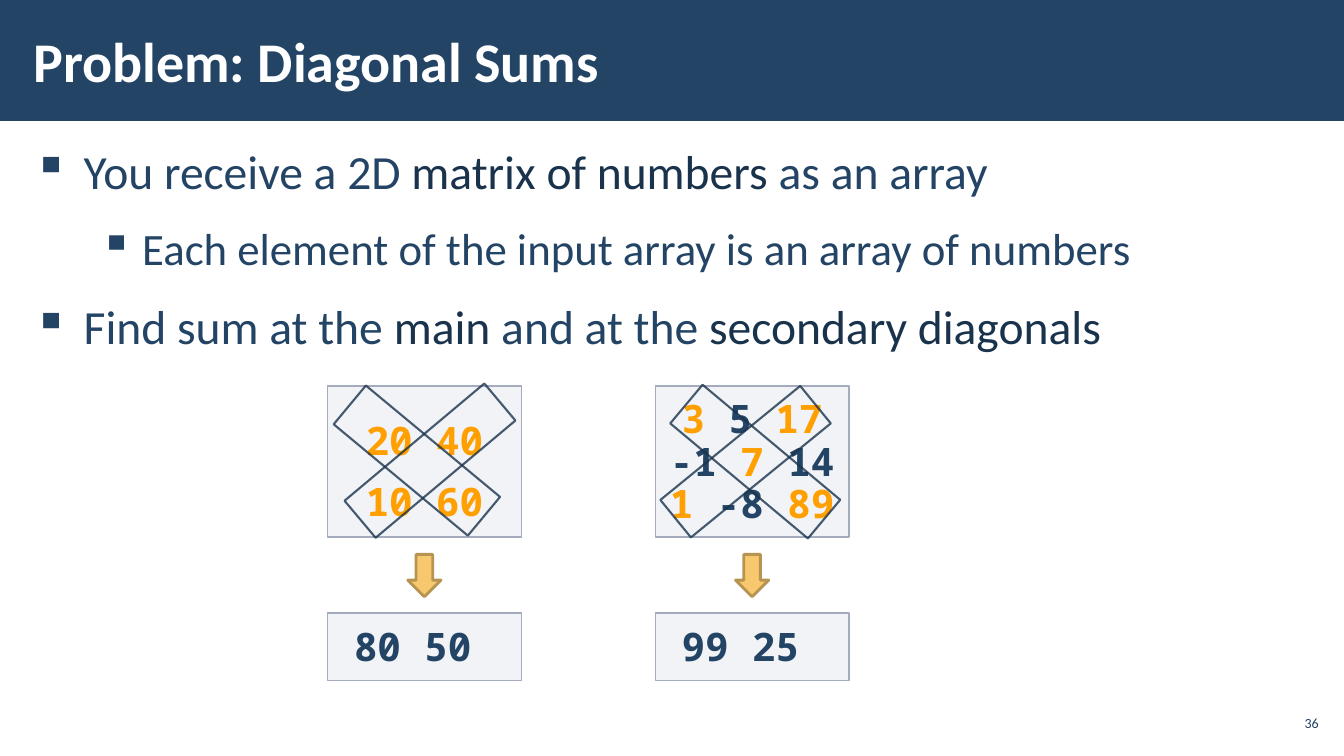
import pptx
import pptx.util
import pptx.dml.color
import pptx.enum.shapes
import pptx.enum.text
import pptx.oxml
import pptx.oxml.ns
from lxml import etree

Inches = pptx.util.Inches
Pt = pptx.util.Pt
SHAPE = pptx.enum.shapes.MSO_SHAPE
ALIGN = pptx.enum.text.PP_ALIGN
ANCHOR = pptx.enum.text.MSO_ANCHOR

COLORS = {
    "navy": "234465",
    "dark": "1A334C",
    "white": "FFFFFF",
    "orange": "FFA000",
    "panel": "C2C7D2",
    "border": "A3ABBC",
    "arrow": "F7C86D",
    "arrow_border": "B79451",
}
BODY_FONT = "Calibri"
CODE_FONT = "Noto Sans Mono"
BODY_INSETS = (0.12, 0.04, 0.12, 0.04)
PANEL_INSETS = (0.1, 0.08, 0.1, 0.04)
PANEL_WIDTH = 1.92

BULLETS = [
    (0, [("You receive a 2D ", "navy"), ("matrix of numbers", "dark"),
         (" as an array", "navy")]),
    (1, [("Each element of the input array is an array of numbers", "navy")]),
    (0, [("Find sum at the ", "navy"), ("main", "dark"),
         (" and at the ", "navy"), ("secondary diagonals", "dark")]),
]
BULLET_LEVELS = [(34, 0.5, -0.5), (32, 1.08, -0.42)]

EXAMPLES = [
    {
        "left": 3.25,
        "spacing": 1.3,
        "matrix": [[("20 40", "orange")], [("10 60", "orange")]],
        "sums": "80 50 ",
        "diagonals": [(3.27, 4.32, 1.73, 0.5, 39.7),
                      (3.36, 4.33, 1.81, 0.48, 320)],
    },
    {
        "left": 6.5,
        "spacing": 0.9,
        "matrix": [
            [("3", "orange"), (" 5 ", "navy"), ("17", "orange")],
            [("-1 ", "navy"), ("7", "orange"), (" 14", "navy")],
            [("1 ", "orange"), ("-8 ", "navy"), ("89", "orange")],
        ],
        "sums": "99 25 ",
        "diagonals": [(6.6, 4.33, 1.78, 0.5, 39.9),
                      (6.5, 4.34, 1.79, 0.48, 320.8)],
    },
]


def rgb(name):
    return pptx.dml.color.RGBColor.from_string(COLORS[name])


def set_alpha(color_parent, percent):
    color = next(color_parent.iter(pptx.oxml.ns.qn("a:srgbClr")))
    alpha = etree.SubElement(color, pptx.oxml.ns.qn("a:alpha"))
    alpha.set("val", str(percent * 1000))


def add_preset(slide, kind, box, fill=None, line=None, line_width=1):
    shape = slide.shapes.add_shape(kind, *map(Inches, box))
    shape.shadow.inherit = False
    if fill:
        shape.fill.solid()
        shape.fill.fore_color.rgb = rgb(fill)
    else:
        shape.fill.background()
    if line:
        shape.line.color.rgb = rgb(line)
        shape.line.width = Pt(line_width)
    else:
        shape.line.fill.background()
    return shape


def prepare_frame(shape, insets, anchor=ANCHOR.MIDDLE):
    frame = shape.text_frame
    frame.word_wrap = True
    frame.vertical_anchor = anchor
    (frame.margin_left, frame.margin_top,
     frame.margin_right, frame.margin_bottom) = map(Inches, insets)
    return frame


def add_paragraph(frame, index, runs, size, font, bold=False, align=ALIGN.LEFT):
    paragraph = frame.paragraphs[0] if index == 0 else frame.add_paragraph()
    paragraph.alignment = align
    for text, color in runs:
        run = paragraph.add_run()
        run.text = text
        run.font.size = Pt(size)
        run.font.name = font
        run.font.bold = bold
        run.font.color.rgb = rgb(color)
    return paragraph


def add_label(slide, box, text, color, size, insets, bold=False, align=ALIGN.LEFT):
    text_box = slide.shapes.add_textbox(*map(Inches, box))
    frame = prepare_frame(text_box, insets)
    add_paragraph(frame, 0, [(text, color)], size, BODY_FONT, bold, align)


def add_bullets(slide, box):
    text_box = slide.shapes.add_textbox(*map(Inches, box))
    frame = prepare_frame(text_box, BODY_INSETS, ANCHOR.TOP)
    for index, (level, runs) in enumerate(BULLETS):
        size, margin, indent = BULLET_LEVELS[level]
        paragraph = add_paragraph(frame, index, runs, size, BODY_FONT)
        paragraph.level = level
        paragraph.line_spacing = 1.1
        paragraph.space_before = paragraph.space_after = Pt(6)
        properties = paragraph._p.get_or_add_pPr()
        properties.set("marL", str(Inches(margin)))
        properties.set("indent", str(Inches(indent)))
        bullet = etree.SubElement(properties, pptx.oxml.ns.qn("a:buChar"))
        bullet.set("char", "▪")


def add_panel(slide, box, rows, spacing):
    panel = add_preset(slide, SHAPE.RECTANGLE, box, "panel", "border")
    set_alpha(panel.fill._xPr.find(pptx.oxml.ns.qn("a:solidFill")), 20)
    frame = prepare_frame(panel, PANEL_INSETS)
    for index, runs in enumerate(rows):
        paragraph = add_paragraph(frame, index, runs, 28, CODE_FONT, True, ALIGN.CENTER)
        paragraph.line_spacing = spacing


def add_diagonal(slide, left, top, width, height, rotation):
    diagonal = add_preset(slide, SHAPE.RECTANGLE, (left, top, width, height),
                          line="dark", line_width=1.5)
    diagonal.rotation = rotation
    set_alpha(diagonal.line._ln, 80)


def add_example(slide, example):
    left = example["left"]
    add_panel(slide, (left, 3.83, PANEL_WIDTH, 1.5), example["matrix"], example["spacing"])
    add_panel(slide, (left, 6.08, PANEL_WIDTH, 0.67), [[(example["sums"], "navy")]], 0.9)
    arrow_width = 0.33
    arrow_left = left + (PANEL_WIDTH - arrow_width) / 2
    add_preset(slide, SHAPE.DOWN_ARROW, (arrow_left, 5.5, arrow_width, 0.42),
               "arrow", "arrow_border", 2)
    for diagonal in example["diagonals"]:
        add_diagonal(slide, *diagonal)


def main():
    presentation = pptx.Presentation()
    presentation.slide_width = Inches(13.33)
    presentation.slide_height = Inches(7.5)
    slide = presentation.slides.add_slide(presentation.slide_layouts[6])
    add_preset(slide, SHAPE.RECTANGLE, (0, 0, 13.33, 1.2), "navy")
    add_bullets(slide, (0.21, 1.31, 12.92, 5.69))
    add_label(slide, (0.21, 0.11, 10.39, 0.97), "Problem: Diagonal Sums",
              "white", 40, BODY_INSETS, bold=True)
    add_label(slide, (12.65, 7, 0.47, 0.34), "36", "navy", 10,
              (0.04, 0.04, 0.04, 0.04), align=ALIGN.RIGHT)
    for example in EXAMPLES:
        add_example(slide, example)
    presentation.save("out.pptx")


main()
